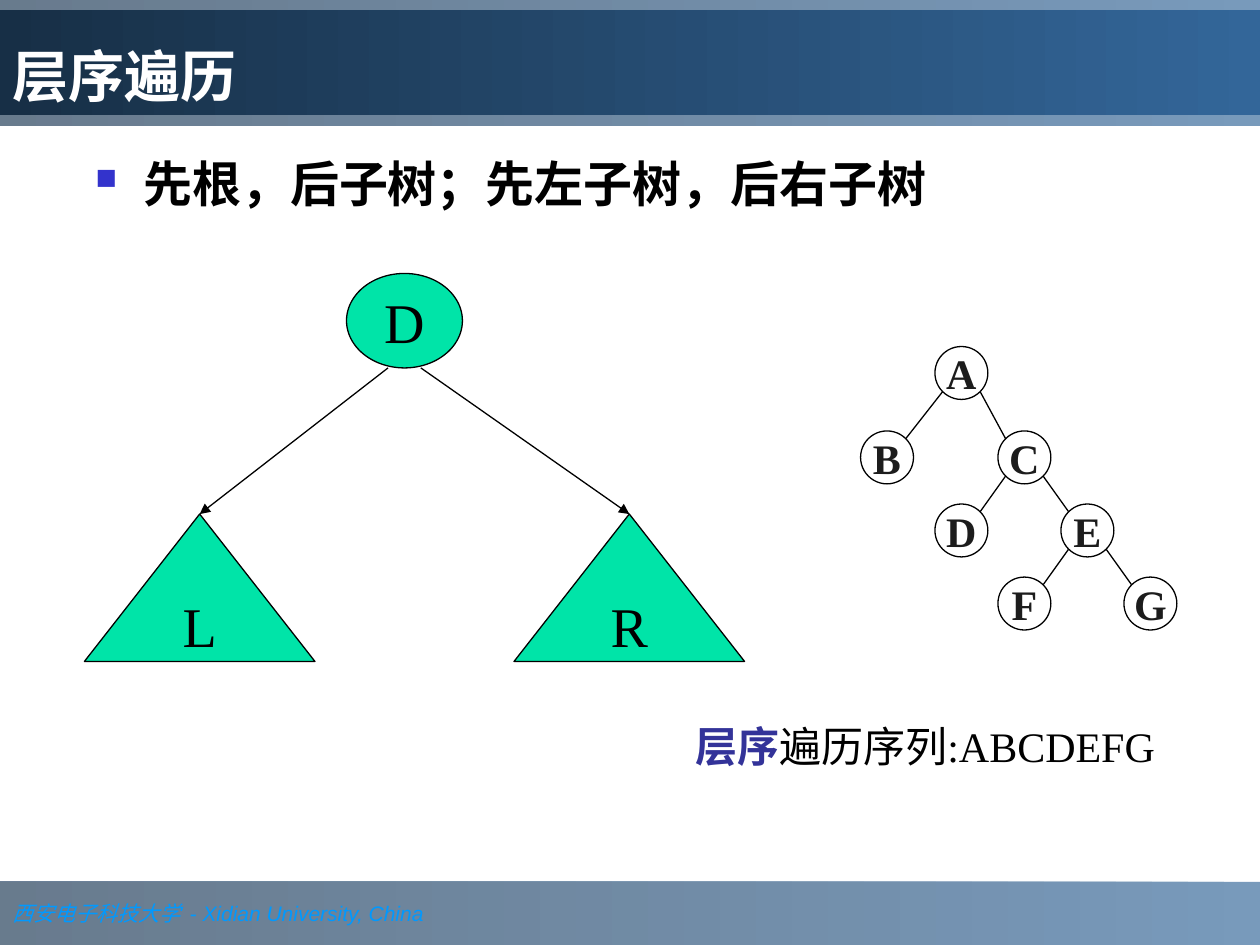
import pptx
import pptx.util
import pptx.dml.color
import pptx.enum.shapes
import pptx.enum.text
import pptx.oxml
import pptx.oxml.ns

Inches = pptx.util.Inches
Pt = pptx.util.Pt
SHAPE = pptx.enum.shapes.MSO_SHAPE
ALIGN = pptx.enum.text.PP_ALIGN
ANCHOR = pptx.enum.text.MSO_ANCHOR
COLORS = {
    "blue": "336699", "navy": "1B3753", "midnight": "172F46", "green": "00E4A8",
    "black": "000000", "white": "FFFFFF", "ink": "1C1C1C", "footer": "0099FF",
    "accent": "333399", "bullet": "3333CC",
}
TIMES = "Times New Roman"


def rgb(name):
    """Return the named colour."""
    return pptx.dml.color.RGBColor.from_string(COLORS[name])


def add_xml(parent, xml):
    """Append a DrawingML element to the parent and return it."""
    ns = pptx.oxml.ns.nsdecls("a")
    el = pptx.oxml.parse_xml(xml.replace("/>", f" {ns}/>", 1))
    parent.append(el)
    return el


def add_run(p, text, color, **fmt):
    """Add a run whose font takes the given format values."""
    r = p.add_run()
    r.text = text
    for name, value in fmt.items():
        setattr(r.font, name, value)
    r.font.color.rgb = rgb(color)


def set_frame(sp, align=ALIGN.LEFT, **fmt):
    """Format the text frame and return its first paragraph."""
    tf = sp.text_frame
    values = {"word_wrap": True, "auto_size": pptx.enum.text.MSO_AUTO_SIZE.NONE, **fmt}
    for name, value in values.items():
        setattr(tf, name, value)
    p = tf.paragraphs[0]
    p.alignment = align
    return p


def fill_gradient(sp, right, left, alpha=None):
    """Fill the shape with a gradient running from right to left."""
    sp.fill.gradient()
    sp.fill.gradient_angle = 180
    for stop, color in zip(sp.fill.gradient_stops, (right, left)):
        stop.color.rgb = rgb(color)
    if alpha:
        for clr in sp.fill._xPr.iter(pptx.oxml.ns.qn("a:srgbClr")):
            add_xml(clr, f'<a:alpha val="{alpha * 1000}"/>')


def add_band(s, x, y, w, h):
    """Add a translucent gradient band."""
    sp = s.shapes.add_shape(SHAPE.RECTANGLE, Inches(x), Inches(y), Inches(w), Inches(h))
    sp.shadow.inherit = False
    sp.line.fill.background()
    fill_gradient(sp, "blue", "navy", 66)
    return sp


def add_header(s, x, y, w, h):
    """Place the title on its band."""
    add_band(s, x, y, w, h)
    title = s.shapes.title
    place = {"left": x, "top": y + 0.08, "width": w, "height": h - 0.17}
    for name, value in place.items():
        setattr(title, name, Inches(value))
    fill_gradient(title, "blue", "midnight")
    p = set_frame(title, vertical_anchor=ANCHOR.BOTTOM)
    add_run(p, "层序遍历", "white", size=Pt(32), name="Roboto", bold=True)
    s.shapes._spTree.append(title._element)


def add_footer(s, x, y, w, h):
    """Place the university line on the bottom band."""
    p = set_frame(add_band(s, x, y, w, h), vertical_anchor=ANCHOR.MIDDLE)
    fmt = {"size": Pt(12), "italic": True}
    add_run(p, "西安电子科技大学  ", "footer", name=TIMES, **fmt)
    add_run(p, "- Xidian University, China", "footer", name="Arial", **fmt)


def add_text(s, x, y, w, h):
    """Add a text box and return its first paragraph."""
    return set_frame(s.shapes.add_textbox(Inches(x), Inches(y), Inches(w), Inches(h)))


def add_rule(s, x, y, w, h):
    """Place the bulleted traversal rule."""
    p = add_text(s, x, y, w, h)
    pPr = p._p.get_or_add_pPr()
    pPr.set("marL", str(Inches(0.38)))
    pPr.set("indent", str(-Inches(0.38)))
    clr = add_xml(pPr, "<a:buClr/>".replace("<a:buClr/>", "<a:buClr />"))
    add_xml(clr, f'<a:srgbClr val="{COLORS["bullet"]}"/>')
    add_xml(pPr, '<a:buSzPct val="60000"/>')
    add_xml(pPr, '<a:buChar char="■"/>')
    add_run(p, "先根，后子树；先左子树，后右子树", "black", size=Pt(28), name="Roboto", bold=True)


def add_node(s, kind, label, x, y, w, h, fill=None, color="black", **fmt):
    """Add an outlined node with a centred letter."""
    sp = s.shapes.add_shape(kind, Inches(x), Inches(y), Inches(w), Inches(h))
    sp.shadow.inherit = False
    if fill:
        sp.fill.solid()
        sp.fill.fore_color.rgb = rgb(fill)
    else:
        sp.fill.background()
    sp.line.color.rgb = rgb("black")
    sp.line.width = Pt(0.75)
    p = set_frame(sp, ALIGN.CENTER, word_wrap=False, vertical_anchor=ANCHOR.MIDDLE)
    add_run(p, label, color, name=TIMES, **fmt)
    return sp


def add_edge(s, x1, y1, x2, y2):
    """Add a thin straight edge."""
    line = s.shapes.add_connector(
        pptx.enum.shapes.MSO_CONNECTOR.STRAIGHT, Inches(x1), Inches(y1), Inches(x2), Inches(y2))
    line.line.color.rgb = rgb("black")
    line.line.width = Pt(0.75)
    add_xml(line._element.spPr, "<a:effectLst/>")
    return line


def add_scheme(s, x, y, w, h):
    """Draw the root with its left and right subtrees."""
    tri_w, tri_h, root_w, root_h = 1.83, 1.17, 0.92, 0.75
    fmt = {"fill": "green", "size": Pt(32)}
    root_x, tri_y = x + 2.08, y + h - tri_h
    add_node(s, SHAPE.OVAL, "D", root_x, y, root_w, root_h, **fmt)
    for label, left, side in (("L", x, -1), ("R", x + w - tri_w, 1)):
        tri = add_node(s, SHAPE.ISOSCELES_TRIANGLE, label, left, tri_y, tri_w, tri_h, **fmt)
        start = root_x + root_w / 2 + side * 0.13
        arrow = add_edge(s, start, y + root_h, left + tri_w / 2, tri_y)
        arrow.end_connect(tri, 0)
        add_xml(arrow.line._get_or_add_ln(), '<a:tailEnd type="triangle"/>')


def add_tree(s, x, y):
    """Draw the example binary tree from its top left corner."""
    size, inset = 0.42, 0.15
    nodes = {"A": (0.59, 0), "B": (0, 0.67), "C": (1.09, 0.67), "D": (0.59, 1.25),
             "E": (1.59, 1.25), "F": (1.09, 1.83), "G": (2.09, 1.83)}
    for label, (dx, dy) in nodes.items():
        add_node(s, SHAPE.OVAL, label, x + dx, y + dy, size, size,
                 color="ink", size=Pt(24), bold=True)
    for parent, child in ("AB", "AC", "CD", "CE", "EF", "EG"):
        (px, py), (cx, cy) = [
            (x + nodes[n][0] + size / 2, y + nodes[n][1] + size / 2) for n in (parent, child)]
        dx = inset if cx > px else -inset
        add_edge(s, px + dx, py + inset, cx - dx, cy - inset)


def add_sequence(s, x, y, w, h):
    """Place the resulting traversal sequence."""
    p = add_text(s, x, y, w, h)
    add_run(p, "层序", "accent", size=Pt(24), name=TIMES, bold=True)
    add_run(p, "遍历序列:ABCDEFG", "black", size=Pt(24), name=TIMES, bold=False)


def main():
    """Build and save the slide."""
    prs = pptx.Presentation()
    prs.slide_width, prs.slide_height = Inches(10), Inches(7.5)
    s = prs.slides.add_slide(prs.slide_layouts[5])
    add_footer(s, 0, 7, 10, 0.5)
    add_header(s, 0, 0, 10, 1)
    add_rule(s, 0.66, 1.17, 9, 0.61)
    add_scheme(s, 0.67, 2.17, 5.24, 3.08)
    add_tree(s, 6.83, 2.75)
    add_sequence(s, 5.42, 5.67, 4.58, 0.5)
    prs.save("out.pptx")


if __name__ == "__main__":
    main()
